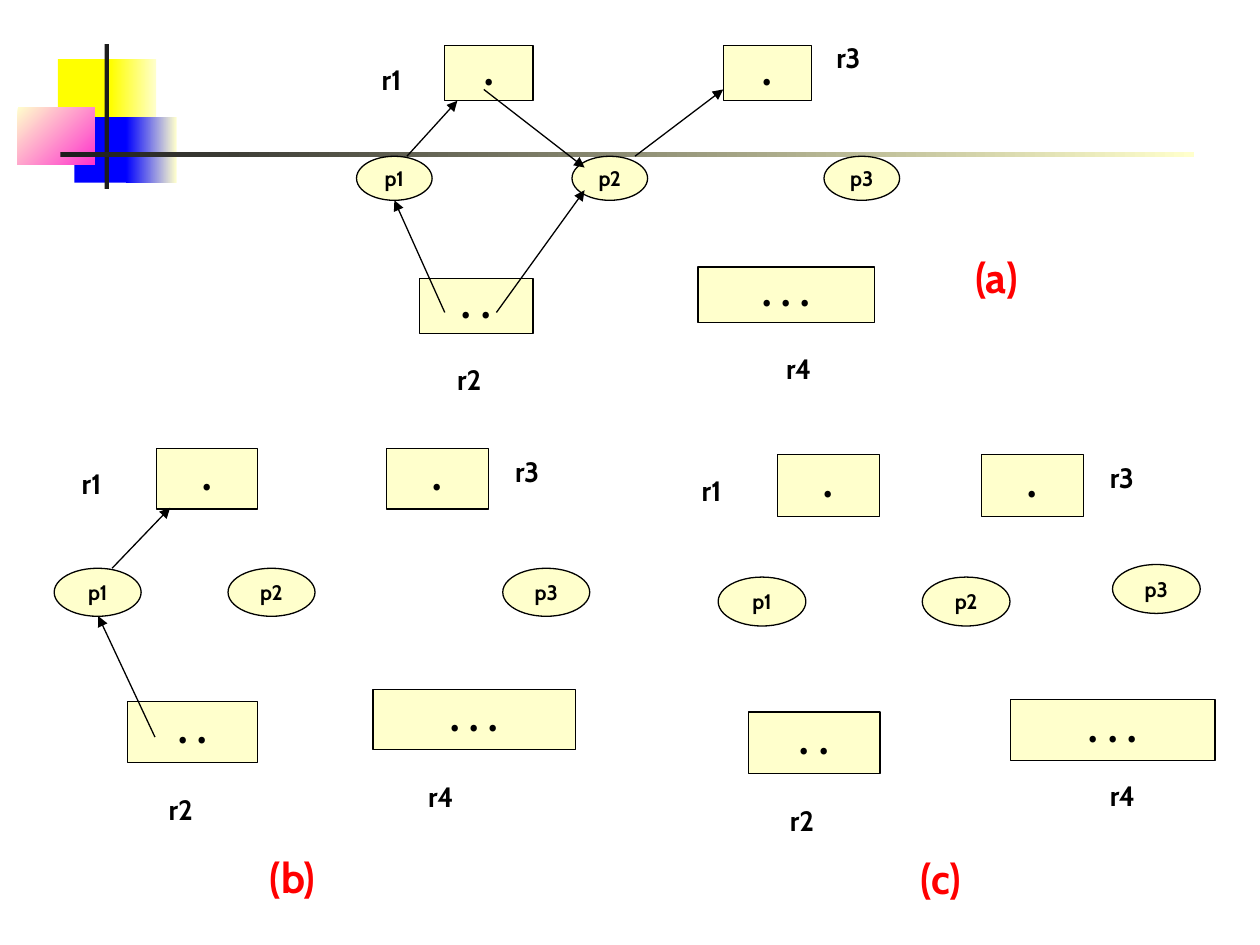
from pptx import Presentation
from pptx.dml.color import RGBColor
from pptx.enum.shapes import MSO_CONNECTOR as Connector, MSO_SHAPE as Shape
from pptx.enum.text import MSO_ANCHOR as Anchor, MSO_AUTO_SIZE as AutoSize, PP_ALIGN as Align
from pptx.oxml.ns import qn
from pptx.util import Inches, Pt
from lxml.etree import SubElement

COLUMNS, ROWS = 100, 75
CREAM, BLACK, RED = "FFFFCC", "000000", "FF0000"
YELLOW, BLUE, PINK, CHARCOAL = "FFFF00", "0000FF", "FF33CC", "1C1C1C"

PROCESS_SIZE = (6, 3.5)
RESOURCE_HEIGHT = 4.4
RESOURCES = {"r1": (7, "."), "r3": (7, "."), "r2": (9, ". ."), "r4": (14, ". . .")}
LABEL_WIDTH = 5

DECORATION = [
    (4.6, 4.7, 4.8, 5.2, [YELLOW], 0),
    (8.8, 4.7, 3.6, 5.2, [YELLOW, CREAM], 0),
    (5.9, 9.3, 4.6, 5.2, [BLUE], 0),
    (10, 9.3, 4, 5.2, [BLUE, CREAM], 0),
    (1.4, 8.5, 6.1, 4.6, [CREAM, PINK], 315),
    (8.3, 3.5, 0.35, 11.5, [CHARCOAL], 0),
    (4.8, 12.1, 90, 0.35, [CHARCOAL, CREAM], 0),
]

PANELS = [
    {
        "caption": ("(a)", 76.4, 19.5),
        "scale": (1, 1),
        "processes": {"p1": (28.3, 12.4), "p2": (45.4, 12.4), "p3": (65.4, 12.4)},
        "resources": {"r1": (35.3, 3.6), "r3": (57.4, 3.6), "r2": (33.3, 22.1), "r4": (55.4, 21.2)},
        "labels": {"r1": (29.3, 4.5), "r3": (65.4, 2.7), "r2": (35.3, 28.3), "r4": (61.4, 27.4)},
        "arrows": [
            ((38.4, 7.1), (46.4, 13.3)),
            ((39.4, 24.8), (46.4, 15.1)),
            ((35.3, 24.8), (31.3, 15.9)),
            ((32.3, 12.4), (36.3, 8)),
            ((50.4, 12.4), (57.4, 7.1)),
        ],
    },
    {
        "caption": ("(b)", 20.4, 67.1),
        "scale": (1.15, 1.09),
        "processes": {"p1": (4.3, 45.1), "p2": (18.1, 45.1), "p3": (39.9, 45.1)},
        "resources": {"r1": (12.4, 35.6), "r3": (30.7, 35.6), "r2": (10.1, 55.7), "r4": (29.6, 54.7)},
        "labels": {"r1": (5.5, 36.5), "r3": (39.9, 35.6), "r2": (12.4, 62.4), "r4": (33, 61.4)},
        "arrows": [((12.3, 58.5), (7.8, 48.9)), ((8.9, 45.1), (13.5, 40.3))],
    },
    {
        "caption": ("(c)", 72.1, 67.2),
        "scale": (1.16, 1.11),
        "processes": {"p1": (57, 45.8), "p2": (73.2, 45.8), "p3": (88.3, 44.8)},
        "resources": {"r1": (61.7, 36.1), "r3": (77.9, 36.1), "r2": (59.4, 56.5), "r4": (80.2, 55.5)},
        "labels": {"r1": (54.7, 37.1), "r3": (87.1, 36.1), "r2": (61.7, 63.3), "r4": (87.1, 61.3)},
        "arrows": [],
    },
]


def color(value):
    return RGBColor.from_string(value)


class GraphSlide:
    line_width = Pt(0.75)
    node_font = {"name": "Cabin", "size": Pt(12), "bold": True}
    dot_font = {"name": "Noto Sans CJK SC", "size": Pt(20), "bold": True}
    label_font = {"name": "Cabin", "size": Pt(16), "bold": True}
    caption_font = {"name": "Cabin", "size": Pt(24), "bold": True}

    def __init__(self, presentation):
        self.slide = presentation.slides.add_slide(presentation.slide_layouts[6])
        self.column = presentation.slide_width / COLUMNS
        self.row = presentation.slide_height / ROWS

    def place(self, *lengths):
        units = (self.column, self.row) * 2
        return [round(length * unit) for length, unit in zip(lengths, units)]

    def fill_text(self, shape, text, font, text_color, paragraph_format):
        paragraph = shape.text_frame.paragraphs[0]
        for name, value in paragraph_format.items():
            setattr(paragraph, name, value)
        run = paragraph.add_run()
        run.text = text
        for name, value in font.items():
            setattr(run.font, name, value)
        run.font.color.rgb = color(text_color)

    def block(self, left, top, width, height, colors, angle):
        shape = self.slide.shapes.add_shape(
            Shape.RECTANGLE, *self.place(left, top, width, height))
        shape.shadow.inherit = False
        shape.line.fill.background()
        if len(colors) == 1:
            shape.fill.solid()
            shape.fill.fore_color.rgb = color(colors[0])
            return
        shape.fill.gradient()
        shape.fill.gradient_angle = angle
        for stop, value in zip(shape.fill.gradient_stops, colors):
            stop.color.rgb = color(value)

    def node(self, kind, left, top, width, height, text, font, spacing):
        shape = self.slide.shapes.add_shape(kind, *self.place(left, top, width, height))
        shape.shadow.inherit = False
        shape.fill.solid()
        shape.fill.fore_color.rgb = color(CREAM)
        shape.line.color.rgb = color(BLACK)
        shape.line.width = self.line_width
        shape.text_frame.word_wrap = False
        shape.text_frame.vertical_anchor = Anchor.MIDDLE
        self.fill_text(shape, text, font, BLACK,
                       {"alignment": Align.CENTER, "line_spacing": spacing})

    def process(self, left, top, width, height, name):
        self.node(Shape.OVAL, left, top, width, height, name, self.node_font, 1.0)

    def resource(self, left, top, width, height, dots):
        self.node(Shape.RECTANGLE, left, top, width, height, dots, self.dot_font, 0.95)

    def text(self, left, top, width, height, text, font, text_color, space):
        box = self.slide.shapes.add_textbox(*self.place(left, top, width, height))
        box.text_frame.word_wrap = True
        box.text_frame.auto_size = AutoSize.SHAPE_TO_FIT_TEXT
        self.fill_text(box, text, font, text_color, {"space_before": Pt(space)})

    def label(self, left, top, width, name):
        self.text(left, top, width, 3.7, name, self.label_font, BLACK, 10)

    def caption(self, left, top, width, text):
        self.text(left, top, width, 5, text, self.caption_font, RED, 15)

    def arrow(self, start, end):
        connector = self.slide.shapes.add_connector(
            Connector.STRAIGHT, *self.place(*start, *end))
        connector.line.color.rgb = color(BLACK)
        connector.line.width = self.line_width
        properties = connector.element.spPr
        SubElement(properties.find(qn("a:ln")), qn("a:tailEnd"), type="triangle")
        SubElement(properties, qn("a:effectLst"))

    def panel(self, panel):
        across, down = panel["scale"]
        process_width, process_height = PROCESS_SIZE
        for name, position in panel["processes"].items():
            self.process(*position, process_width * across, process_height * down, name)
        for name, position in panel["resources"].items():
            width, dots = RESOURCES[name]
            self.resource(*position, width * across, RESOURCE_HEIGHT * down, dots)
        for name, position in panel["labels"].items():
            self.label(*position, LABEL_WIDTH * across, name)
        for start, end in panel["arrows"]:
            self.arrow(start, end)
        text, left, top = panel["caption"]
        self.caption(left, top, 9 * across, text)


def main():
    presentation = Presentation()
    presentation.slide_width = Inches(10)
    presentation.slide_height = Inches(7.5)
    graph = GraphSlide(presentation)
    for block in DECORATION:
        graph.block(*block)
    for panel in PANELS:
        graph.panel(panel)
    presentation.save("out.pptx")


if __name__ == "__main__":
    main()
